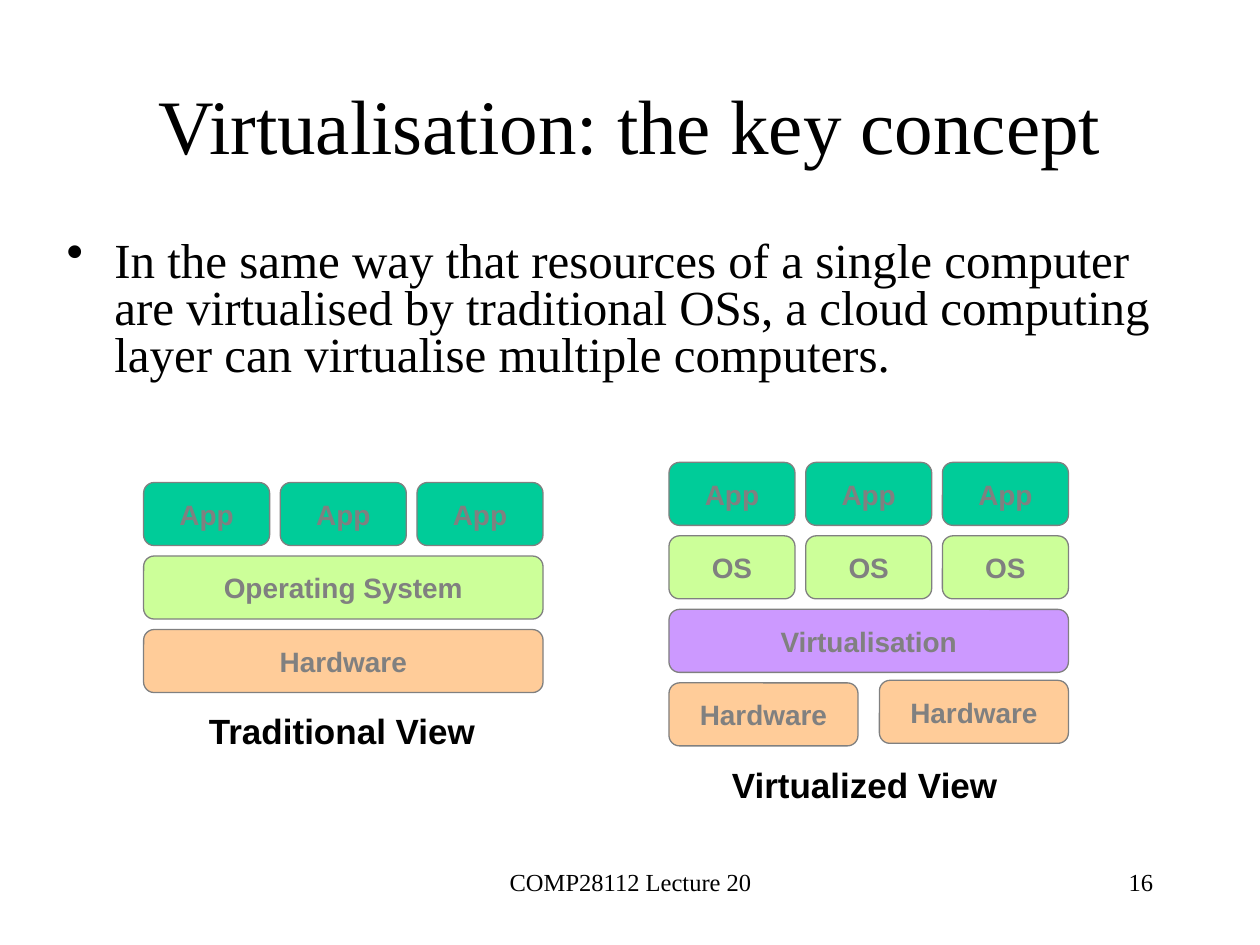
"""Build a slide comparing the traditional and virtualised system stacks."""
from dataclasses import dataclass

from lxml import etree
from pptx import Presentation
from pptx.dml.color import RGBColor
from pptx.enum import shapes, text
from pptx.oxml import ns
from pptx.slide import Slide
from pptx.text.text import TextFrame
from pptx.util import Inches, Pt

BLACK = RGBColor(0x00, 0x00, 0x00)
GREY = RGBColor(0x80, 0x80, 0x80)
GREEN = RGBColor(0x00, 0xCC, 0x99)
LIME = RGBColor(0xCC, 0xFF, 0x99)
PURPLE = RGBColor(0xCC, 0x99, 0xFF)
ORANGE = RGBColor(0xFF, 0xCC, 0x99)
SERIF = "Times New Roman"
SANS = "Arial"

STACK_WIDTH = 3.17
BLOCK_HEIGHT = 0.5
ROW_PITCH = 1.75 / 3


@dataclass(frozen=True)
class Layer:
    label: str
    color: RGBColor
    count: int = 1
    width: float = STACK_WIDTH
    last_lift: float = 0


@dataclass(frozen=True)
class Stack:
    left: float
    top: float
    layers: tuple[Layer, ...]
    caption: str
    caption_left: float
    caption_top: float


APPS = Layer("App", GREEN, 3, 1)
STACKS = (
    Stack(
        1.14, 3.83,
        (APPS, Layer("Operating System", LIME), Layer("Hardware", ORANGE)),
        "Traditional View", 1.56, 5.58,
    ),
    Stack(
        5.31, 3.67,
        (
            APPS,
            Layer("OS", LIME, 3, 1),
            Layer("Virtualisation", PURPLE),
            Layer("Hardware", ORANGE, 2, 1.5, last_lift=0.02),
        ),
        "Virtualized View", 5.71, 6.01,
    ),
)


def write_text(
    frame: TextFrame, content: str, *, size: float, font: str = SERIF,
    color: RGBColor = BLACK, bold: bool = False, wrap: bool = True,
    align: text.PP_ALIGN = text.PP_ALIGN.LEFT,
    anchor: text.MSO_ANCHOR = text.MSO_ANCHOR.TOP,
    bullet: bool = False, line_spacing: float = 1.0,
) -> None:
    frame.word_wrap = wrap
    frame.vertical_anchor = anchor
    paragraph = frame.paragraphs[0]
    paragraph.text = content
    paragraph.alignment = align
    paragraph.line_spacing = line_spacing
    if bullet:
        properties = paragraph._p.get_or_add_pPr()
        properties.set("marL", str(Inches(0.38)))
        properties.set("indent", str(Inches(-0.38)))
        etree.SubElement(properties, ns.qn("a:buChar")).set("char", "•")
    run_font = paragraph.runs[0].font
    run_font.size = Pt(size)
    run_font.name = font
    run_font.bold = bold
    run_font.color.rgb = color


def add_text(
    slide: Slide, content: str, left: float, top: float, width: float,
    height: float, **text_format,
) -> None:
    box = slide.shapes.add_textbox(
        Inches(left), Inches(top), Inches(width), Inches(height)
    )
    write_text(box.text_frame, content, **text_format)


def add_block(slide: Slide, layer: Layer, left: float, top: float) -> None:
    block = slide.shapes.add_shape(
        shapes.MSO_SHAPE.ROUNDED_RECTANGLE,
        Inches(left), Inches(top), Inches(layer.width), Inches(BLOCK_HEIGHT),
    )
    block.shadow.inherit = False
    block.fill.solid()
    block.fill.fore_color.rgb = layer.color
    block.line.color.rgb = GREY
    block.line.width = Pt(0.75)
    write_text(
        block.text_frame, layer.label, size=16, font=SANS, color=GREY,
        bold=True, align=text.PP_ALIGN.CENTER, anchor=text.MSO_ANCHOR.MIDDLE,
    )


def add_stack(slide: Slide, stack: Stack) -> None:
    for row, layer in enumerate(stack.layers):
        top = stack.top + row * ROW_PITCH
        pitch = (STACK_WIDTH - layer.width) / max(layer.count - 1, 1)
        for column in range(layer.count):
            is_last = column == layer.count - 1
            lift = layer.last_lift if is_last else 0
            add_block(slide, layer, stack.left + column * pitch, top - lift)
    add_text(
        slide, stack.caption, stack.caption_left, stack.caption_top, 2.33, 0.44,
        size=20, font=SANS, bold=True, wrap=False,
    )


def main() -> None:
    presentation = Presentation()
    presentation.slide_width = Inches(10)
    presentation.slide_height = Inches(7.5)
    slide = presentation.slides.add_slide(presentation.slide_layouts[5])

    title = slide.shapes.title
    title.left, title.top = Inches(0.75), Inches(0.36)
    title.width, title.height = Inches(8.5), Inches(1.25)
    write_text(
        title.text_frame, "Virtualisation: the key concept", size=44,
        align=text.PP_ALIGN.CENTER, anchor=text.MSO_ANCHOR.MIDDLE,
    )
    add_text(
        slide,
        "In the same way that resources of a single computer are virtualised "
        "by traditional OSs, a cloud computing layer can virtualise multiple "
        "computers.",
        0.43, 1.86, 9.14, 1.35, size=28, bullet=True, line_spacing=0.8,
    )
    for stack in STACKS:
        add_stack(slide, stack)
    add_text(
        slide, "COMP28112 Lecture 20", 3.42, 6.83, 3.17, 0.5,
        size=14, align=text.PP_ALIGN.CENTER,
    )
    add_text(
        slide, "16", 7.17, 6.83, 2.08, 0.5,
        size=14, align=text.PP_ALIGN.RIGHT,
    )
    presentation.save("out.pptx")


if __name__ == "__main__":
    main()
